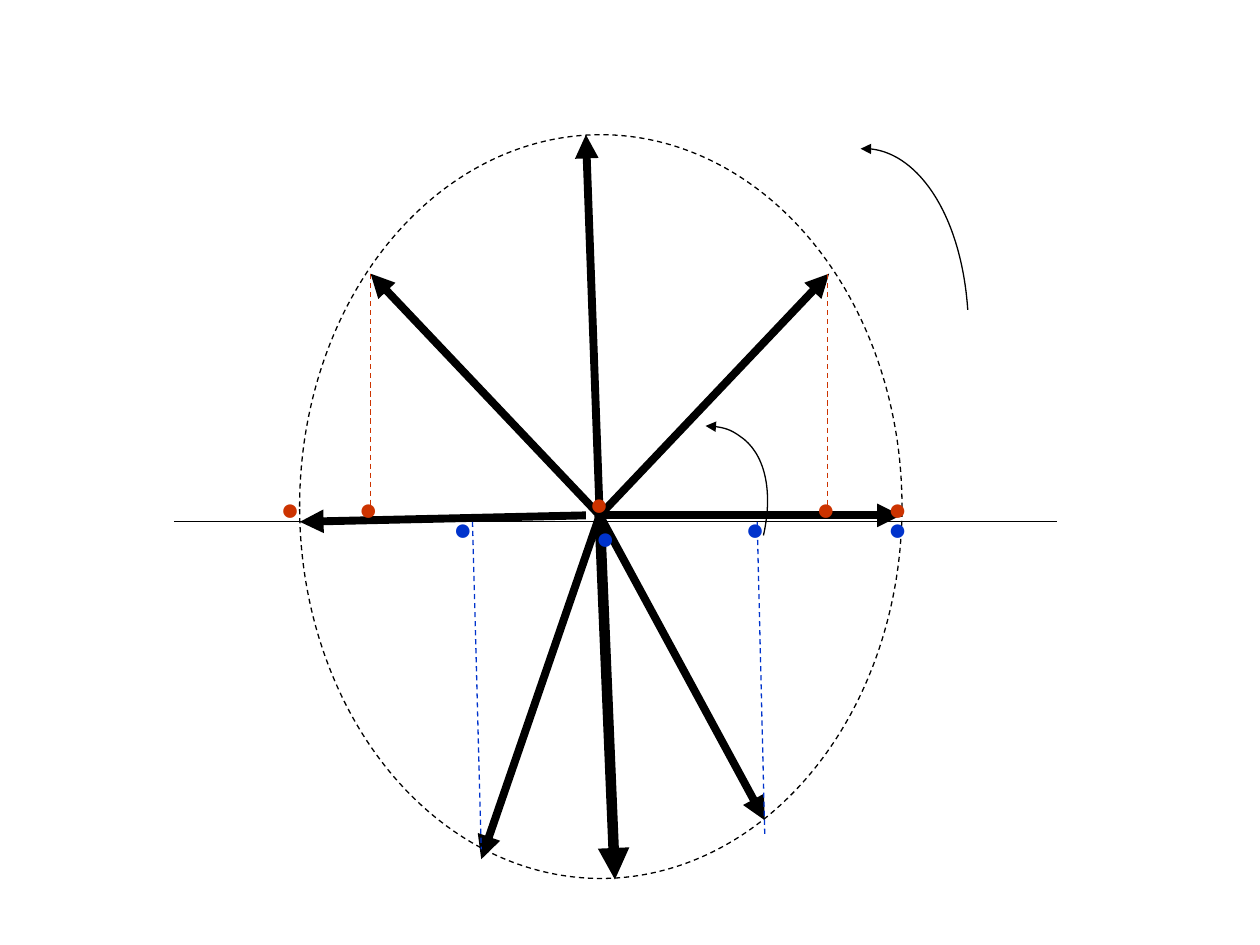
import dataclasses

import pptx
import pptx.dml.color
import pptx.enum.dml
import pptx.enum.shapes
import pptx.enum.text
import pptx.oxml
import pptx.oxml.ns
import pptx.util

Pt = pptx.util.Pt
qn = pptx.oxml.ns.qn


@dataclasses.dataclass(frozen=True)
class Theme:
    black: str = "000000"
    red: str = "CC3300"
    blue: str = "0033CC"
    font: str = "Arial"
    dot_size: float = 18
    thin: float = 0.75
    thick: float = 4.5
    heavy: float = 6


def set_values(target, values):
    for name, value in values.items():
        setattr(target, name, value)


class Diagram:
    def __init__(self, slide, theme):
        self.theme = theme
        self.slide = slide
        self.shapes = slide.shapes.add_group_shape().shapes

    def style_line(self, shape, color, width, dashed=False, arrow=None):
        shape.line.fill.solid()
        shape.line.color.rgb = pptx.dml.color.RGBColor.from_string(color)
        values = {"width": Pt(width)}
        if dashed:
            values["dash_style"] = pptx.enum.dml.MSO_LINE.DASH
        set_values(shape.line, values)
        if arrow:
            outline = shape.element.spPr.find(qn("a:ln"))
            outline.append(pptx.oxml.parse_xml(
                f'<a:{arrow} {pptx.oxml.ns.nsdecls("a")} type="triangle"/>'))

    def line(self, start, end, color, width, dashed=False, arrow=None):
        connector = self.shapes.add_connector(
            pptx.enum.shapes.MSO_CONNECTOR.STRAIGHT,
            *(Pt(value) for value in (*start, *end)))
        self.style_line(connector, color, width, dashed, arrow)
        connector.element.spPr.append(pptx.oxml.parse_xml(
            f'<a:effectLst {pptx.oxml.ns.nsdecls("a")}/>'))

    def vector(self, start, end, width):
        self.line(start, end, self.theme.black, width, arrow="tailEnd")

    def projection(self, start, end, color):
        self.line(start, end, color, self.theme.thin, dashed=True)

    def orbit(self, left, top, width, height):
        ellipse = self.shapes.add_shape(
            pptx.enum.shapes.MSO_SHAPE.OVAL,
            *(Pt(value) for value in (left, top, width, height)))
        ellipse.shadow.inherit = False
        ellipse.fill.background()
        self.style_line(ellipse, self.theme.black, self.theme.thin, dashed=True)

    def rotation_arrow(self, start, *curve_points):
        builder = self.shapes.build_freeform(*(Pt(value) for value in start))
        builder.add_line_segments(
            [(Pt(x), Pt(y)) for x, y in curve_points], close=False)
        curve = builder.convert_to_shape()
        curve.shadow.inherit = False
        curve.fill.background()
        self.style_line(curve, self.theme.black, self.theme.thin, arrow="headEnd")
        outline = next(curve.element.iter(qn("a:path")))
        segments = outline.findall(qn("a:lnTo"))
        for index in range(0, len(segments), 3):
            bezier = pptx.oxml.parse_xml(
                f'<a:cubicBezTo {pptx.oxml.ns.nsdecls("a")}/>')
            for segment in segments[index:index + 3]:
                bezier.append(segment[0])
                outline.remove(segment)
            outline.append(bezier)

    def dot(self, left, top, color):
        box = self.shapes.add_textbox(Pt(left), Pt(top), Pt(26), Pt(29))
        set_values(box.text_frame, {
            "word_wrap": False,
            "auto_size": pptx.enum.text.MSO_AUTO_SIZE.SHAPE_TO_FIT_TEXT,
        })
        run = box.text_frame.paragraphs[0].add_run()
        run.text = "●"
        set_values(run.font, {"name": self.theme.font,
                              "size": Pt(self.theme.dot_size)})
        run.font.color.rgb = pptx.dml.color.RGBColor.from_string(color)


def main():
    presentation = pptx.Presentation()
    set_values(presentation, {"slide_width": Pt(720), "slide_height": Pt(540)})
    slide = presentation.slides.add_slide(presentation.slide_layouts[6])
    theme = Theme()
    diagram = Diagram(slide, theme)

    center = (342.7, 294.5)
    axis = 298.2
    diagram.orbit(171.2, 77, 344.2, 425)
    diagram.line((99.4, axis), (604, axis), theme.black, theme.thin)

    upper_tips = [(514.8, 294.5), (473.8, 156.4), (334.8, 77), (211.8, 156.4)]
    lower_tips = [(275, 491), (437, 468.7)]
    for tip in upper_tips + lower_tips:
        diagram.vector(center, tip, theme.thick)
    diagram.vector(center, (351.4, 502.6), theme.heavy)
    diagram.vector((334.8, 294.5), (171.4, axis), theme.thick)

    for x in (473, 211.8):
        diagram.projection((x, 156.6), (x, 294.8), theme.red)
    for top_x, end in ((432.7, (437, 476.6)), (270, (275, 485.3))):
        diagram.projection((top_x, axis), end, theme.blue)

    diagram.rotation_arrow((491.8, 85), (522, 82.8), (549.4, 123.8), (553, 177.1))

    for left in (500.4, 459.4, 198, 153.2):
        diagram.dot(left, 275.8, theme.red)
    for left in (419, 252, 500.4):
        diagram.dot(left, 287.3, theme.blue)
    diagram.dot(329.8, 272.9, theme.red)
    diagram.dot(333.4, 292.3, theme.blue)

    diagram.rotation_arrow(
        (403.2, 243.4), (411.1, 243.4), (417.6, 245.5), (422.6, 249.1),
        (437, 258.5), (442.1, 280.1), (436.3, 306))

    presentation.save("out.pptx")


if __name__ == "__main__":
    main()
